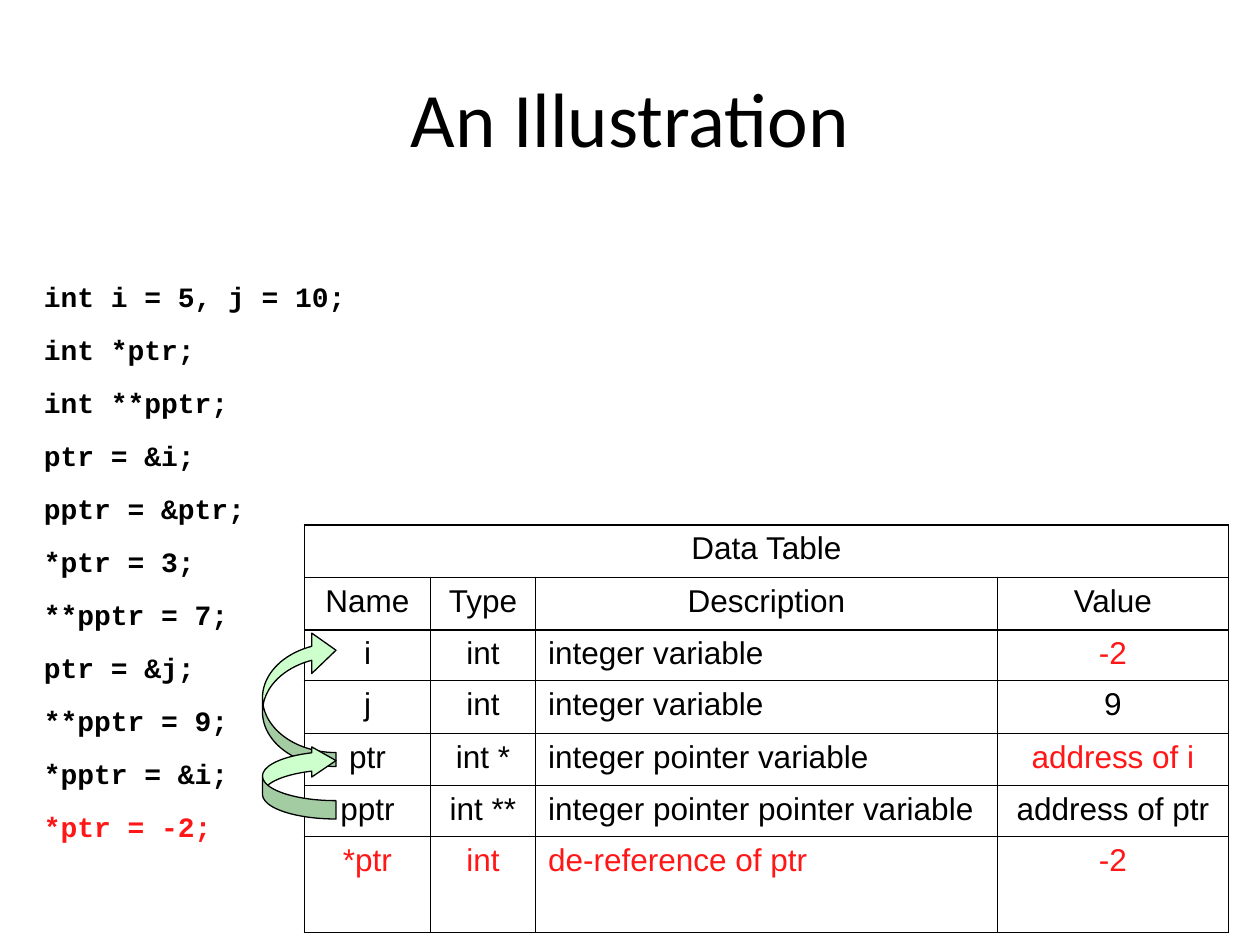
from pptx import Presentation
from pptx.dml.color import RGBColor as Rgb
from pptx.enum.shapes import MSO_SHAPE as Shape
from pptx.enum.text import MSO_ANCHOR as Anchor, MSO_AUTO_SIZE as Fit, PP_ALIGN as Align
from pptx.oxml.ns import qn
from pptx.util import Pt
from lxml.etree import SubElement as Sub

TITLE = "An Illustration"
CODE = [
    "int i = 5, j = 10;",
    "int *ptr;",
    "int **pptr;",
    "ptr = &i;",
    "pptr = &ptr;",
    "*ptr = 3;",
    "**pptr = 7;",
    "ptr = &j;",
    "**pptr = 9;",
    "*pptr = &i;",
    "*ptr = -2;",
]
ROWS = [
    ["Data Table", "", "", ""],
    ["Name", "Type", "Description", "Value"],
    ["i", "int", "integer variable", "-2"],
    ["j", "int", "integer variable", "9"],
    ["ptr", "int *", "integer pointer variable", "address of i"],
    ["pptr", "int **", "integer pointer pointer variable", "address of ptr"],
    ["*ptr", "int", "de-reference of ptr", "-2"],
]
RED = {(2, 3), (4, 3)} | {(6, c) for c in range(4)}
WIDE = [72, 60, 264, 132]
HIGH = [30, 30, 29, 30, 30, 29, 55]
THICK, THIN = 1.08, 0.45

# Box in points, then shaft, head width and head length
ARROWS = [
    ((150, 360, 42, 78), (0.19, 0.55, 0.33)),
    ((150, 426, 42, 42), (0.25, 0.41, 0.33)),
]
HUE = {"ink": "000000", "red": "FF1717", "mint": "CCFFCC"}


def color(name):
    return Rgb.from_string(HUE[name])


def place(item, left, top, width, height):
    item.left, item.top = Pt(left), Pt(top)
    item.width, item.height = Pt(width), Pt(height)


def write(para, text, face, size, hue="ink", bold=False):
    run = para.add_run()
    run.text = text
    font = run.font
    font.name, font.size, font.bold = face, Pt(size), bold
    font.color.rgb = color(hue)


def border(cell, sides):
    props = cell._tc.get_or_add_tcPr()
    for side in "LRTB":
        line = Sub(props, qn("a:ln" + side), w=str(Pt(sides[side])))
        fill = Sub(line, qn("a:solidFill"))
        Sub(fill, qn("a:srgbClr"), val=HUE["ink"])


deck = Presentation()
deck.slide_width, deck.slide_height = Pt(720), Pt(540)
slide = deck.slides.add_slide(deck.slide_layouts[5])
shapes = slide.shapes

# Title
title = shapes.title
place(title, 36, 21.6, 648, 90)
title.text_frame.vertical_anchor = Anchor.MIDDLE
para = title.text_frame.paragraphs[0]
para.alignment = Align.CENTER
write(para, TITLE, "Calibri", 44)

# Code lines, the last one in red
box = shapes.add_textbox(Pt(18), Pt(156), Pt(672), Pt(318))
frame = box.text_frame
frame.word_wrap = True
frame.auto_size = Fit.SHAPE_TO_FIT_TEXT
for n, text in enumerate(CODE):
    para = frame.add_paragraph() if n else frame.paragraphs[0]
    if n:
        para.space_before = Pt(11.1)
    hue = "red" if n == len(CODE) - 1 else "ink"
    write(para, text, "Courier New", 16, hue, True)

# Data table: thick frame and header rules, thin lines inside
grid = shapes.add_table(len(ROWS), len(WIDE), Pt(174), Pt(300),
                        Pt(sum(WIDE)), Pt(sum(HIGH))).table
grid.first_row = grid.horz_banding = False
for col, width in zip(grid.columns, WIDE):
    col.width = Pt(width)
for row, height in zip(grid.rows, HIGH):
    row.height = Pt(height)
grid.cell(0, 0).merge(grid.cell(0, len(WIDE) - 1))

for r, row in enumerate(ROWS):
    for c, text in enumerate(row):
        cell = grid.cell(r, c)
        border(cell, {
            "L": THICK if c == 0 else THIN,
            "R": THICK if c == len(WIDE) - 1 or r == 0 else THIN,
            "T": THICK if r < 3 else THIN,
            "B": THICK if r < 2 or r == len(ROWS) - 1 else THIN,
        })
        cell.fill.background()
        if text:
            para = cell.text_frame.paragraphs[0]
            left = c == 2 and r > 1
            para.alignment = Align.LEFT if left else Align.CENTER
            write(para, text, "Arial", 18, "red" if (r, c) in RED else "ink")

# Arrows from each pointer to its target
for spot, bends in ARROWS:
    arrow = shapes.add_shape(Shape.CURVED_LEFT_ARROW, *map(Pt, spot))
    arrow.rotation = 180
    for n, bend in enumerate(bends):
        arrow.adjustments[n] = bend
    arrow.shadow.inherit = False
    arrow.fill.solid()
    arrow.fill.fore_color.rgb = color("mint")
    arrow.line.color.rgb = color("ink")
    arrow.line.width = Pt(0.75)

deck.save("out.pptx")
